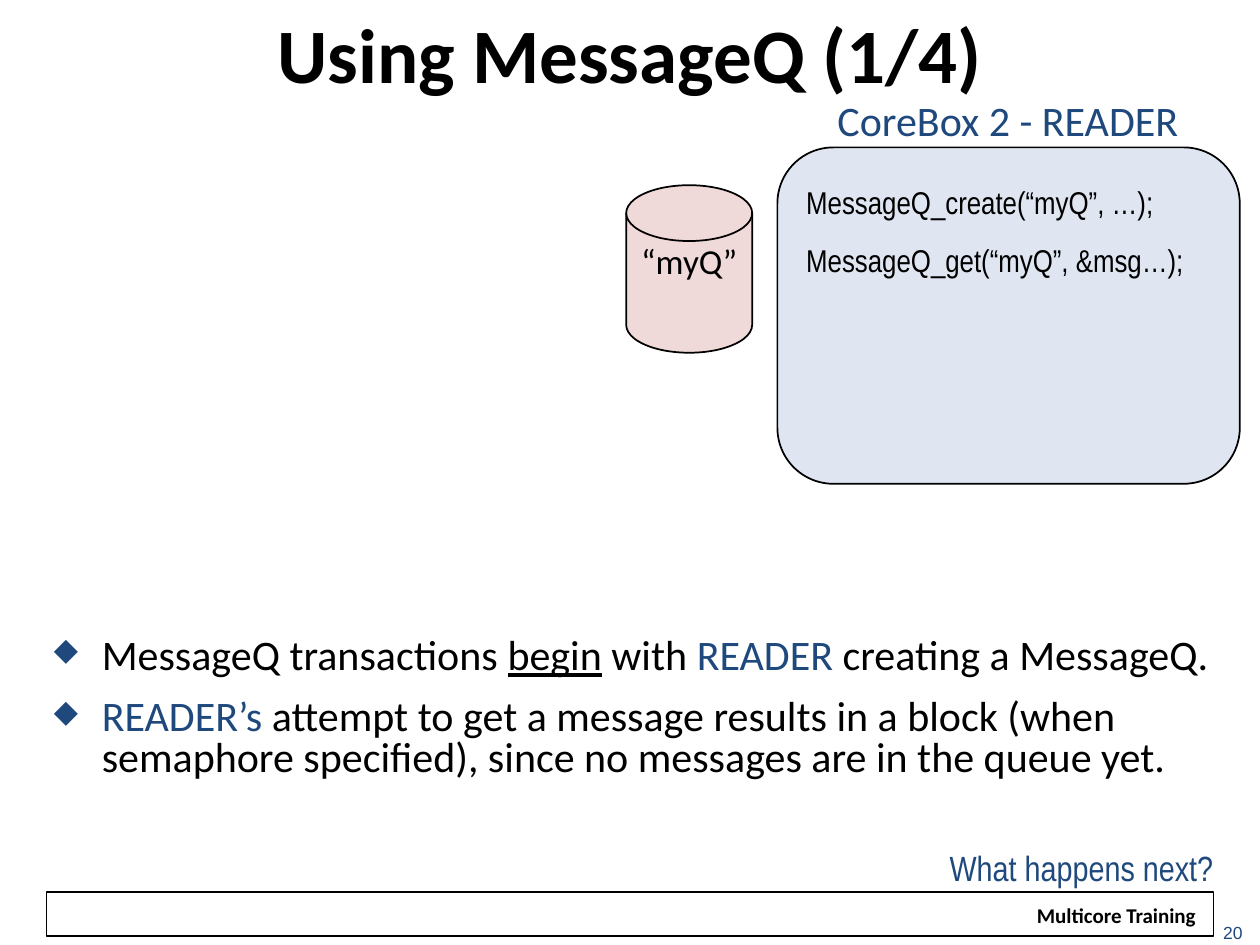
from pptx import Presentation
from pptx.dml.color import RGBColor
from pptx.enum.shapes import MSO_SHAPE
from pptx.enum.text import MSO_ANCHOR, PP_ALIGN
from pptx.oxml import parse_xml
from pptx.oxml.ns import nsdecls
from pptx.util import Inches, Pt

RECT, ROUND, DISK = (MSO_SHAPE.RECTANGLE, MSO_SHAPE.ROUNDED_RECTANGLE,
                     MSO_SHAPE.FLOWCHART_MAGNETIC_DISK)
TOP, MIDDLE, BOTTOM = MSO_ANCHOR.TOP, MSO_ANCHOR.MIDDLE, MSO_ANCHOR.BOTTOM
LEFT, CENTER, RIGHT = PP_ALIGN.LEFT, PP_ALIGN.CENTER, PP_ALIGN.RIGHT
COLORS = {"ink": "000000", "navy": "1F497D", "panel": "E0E6F1",
          "queue": "F0D9D9", "paper": "FFFFFF"}
COLS, ROWS = 10, 7.5


def color(name):
    """Return the named palette colour."""
    return RGBColor.from_string(COLORS[name])


class Deck:
    """Holds the style and the current slide; lengths are grid columns and rows."""

    def __init__(self):
        """Start a presentation with one title-only slide."""
        self.prs = Presentation()
        self.prs.slide_width, self.prs.slide_height = Inches(COLS), Inches(ROWS)
        self.s = self.prs.slides.add_slide(self.prs.slide_layouts[5])

    def grid(self, *box):
        """Convert columns and rows to slide lengths."""
        w, h = self.prs.slide_width / COLS, self.prs.slide_height / ROWS
        return [round(v * unit) for v, unit in zip(box, (w, h, w, h))]

    def font(self, r, size, name="Calibri", tone="ink", bold=False):
        """Format one run."""
        r.font.size, r.font.name, r.font.bold = Pt(size), name, bold
        r.font.color.rgb = color(tone)

    def label(self, sp, text, size, align=CENTER, anchor=MIDDLE, wrap=False,
              before=0, spacing=1.0, inset=None, **style):
        """Fill a shape with evenly styled paragraphs."""
        tf = sp.text_frame
        tf.text = text
        tf.word_wrap, tf.vertical_anchor = wrap, anchor
        if inset:
            (tf.margin_left, tf.margin_top,
             tf.margin_right, tf.margin_bottom) = self.grid(*inset)
        for p in tf.paragraphs:
            p.alignment, p.line_spacing, p.space_before = align, spacing, Pt(before)
            for r in p.runs:
                self.font(r, size, **style)

    def title(self, box, text, size):
        """Move and format the title placeholder."""
        sp = self.s.shapes.title
        sp.left, sp.top, sp.width, sp.height = self.grid(*box)
        self.label(sp, text, size, bold=True)

    def shape(self, kind, box, fill=None, line=None):
        """Add a flat preset shape."""
        sp = self.s.shapes.add_shape(kind, *self.grid(*box))
        sp.shadow.inherit = False
        if fill:
            sp.fill.solid()
            sp.fill.fore_color.rgb = color(fill)
        else:
            sp.fill.background()
        if line:
            sp.line.color.rgb, sp.line.width = color("ink"), Pt(line)
        else:
            sp.line.fill.background()
        return sp

    def text(self, box, text, size, **style):
        """Add a text box."""
        sp = self.s.shapes.add_textbox(*self.grid(*box))
        self.label(sp, text, size, **style)

    def bullets(self, box, items, size):
        """Add diamond bullets whose runs are (text, tone, underlined)."""
        tf = self.s.shapes.add_textbox(*self.grid(*box)).text_frame
        tf.word_wrap, tf.vertical_anchor = True, MIDDLE
        for i, item in enumerate(items):
            p = tf.add_paragraph() if i else tf.paragraphs[0]
            p.line_spacing, p.space_before = 0.8, Pt(12)
            for text, tone, underline in item:
                r = p.add_run()
                r.text = text
                self.font(r, size, tone=tone)
                r.font.underline = underline
            pPr = p._p.get_or_add_pPr()
            pPr.set("marL", str(Inches(0.38)))
            pPr.set("indent", str(-Inches(0.38)))
            for xml in (f'<a:buClr {nsdecls("a")}><a:srgbClr val="{COLORS["navy"]}"/></a:buClr>',
                        f'<a:buSzPct {nsdecls("a")} val="75000"/>',
                        f'<a:buChar {nsdecls("a")} char="◆"/>'):
                pPr.append(parse_xml(xml))


deck = Deck()
deck.shape(RECT, (0.37, 7.08, 9.26, 0.35), line=0.75)
footer = deck.shape(RECT, (8.12, 7.11, 1.48, 0.3), fill="paper")
deck.label(footer, "Multicore Training", 12, bold=True)
deck.title((0.5, 0, 9, 0.83), "Using MessageQ (1/4)", 44)

reader = deck.shape(ROUND, (6.17, 1.17, 3.67, 2.67), fill="panel", line=1)
deck.label(reader, "MessageQ_create(“myQ”, …);\nMessageQ_get(“myQ”, &msg…);", 18,
           align=LEFT, anchor=TOP, wrap=True, before=12,
           inset=(0.1, 0.15, 0.1, 0.05), name="Arial Narrow")
deck.text((6.5, 0.7, 2.95, 0.5), "CoreBox 2 - READER", 24, align=RIGHT, tone="navy")

deck.bullets((0.33, 5.01, 9.47, 1.24), [
    [("MessageQ transactions ", "ink", False), ("begin", "ink", True),
     (" with ", "ink", False), ("READER", "navy", False),
     (" creating a MessageQ.", "ink", False)],
    [("READER’s", "navy", False),
     (" attempt to get a message results in a block (when semaphore specified), "
      "since no messages are in the queue yet.", "ink", False)],
], 24)

queue = deck.shape(DISK, (4.97, 1.47, 1, 1.33), fill="queue", line=1)
deck.label(queue, "“myQ”", 20, anchor=TOP, wrap=True, spacing=0.8)
deck.text((7.52, 6.78, 2.11, 0.27), "What happens next?", 20, align=RIGHT,
          anchor=BOTTOM, spacing=0.8, inset=(0, 0, 0, 0),
          name="Arial Narrow", tone="navy")
deck.text((9.44, 7.27, 0.69, 0.27), "20", 10, wrap=True, name="Arial", tone="navy")
deck.prs.save("out.pptx")
